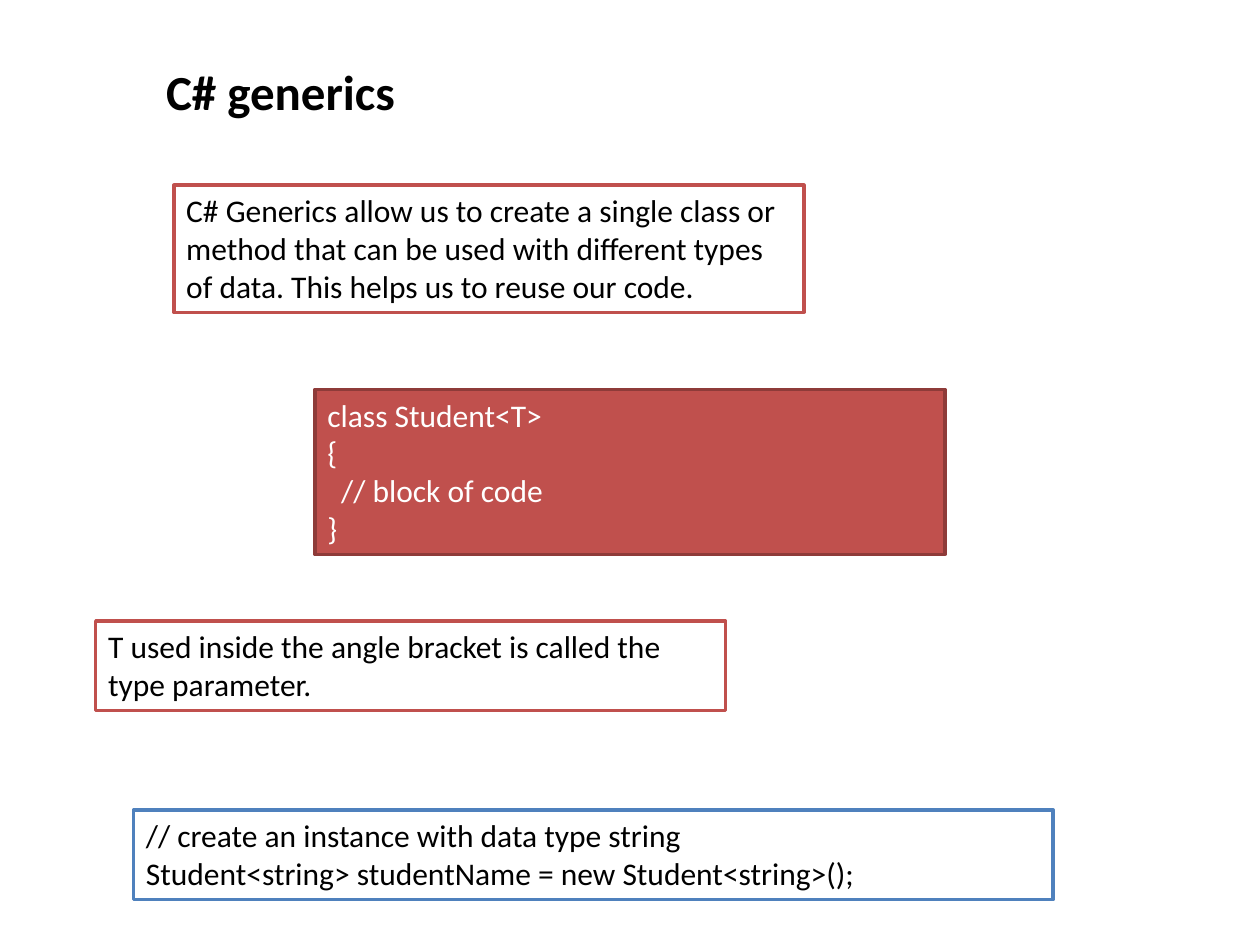
from pptx import Presentation
from pptx.dml.color import RGBColor
from pptx.enum.shapes import MSO_SHAPE
from pptx.enum.text import MSO_ANCHOR, MSO_AUTO_SIZE, PP_ALIGN
from pptx.util import Inches, Pt

COLORS = {
    "black": "000000",
    "white": "FFFFFF",
    "red": "C0504D",
    "dark_red": "8E3B39",
    "blue": "4F81BD",
}
FONT = "Calibri"
CODE_INDENT = Inches(0.11)


def rgb(name):
    return RGBColor.from_string(COLORS[name])


def style_font(paragraph, size, color, bold=False):
    font = paragraph.font
    font.name = FONT
    font.size = Pt(size)
    font.bold = bold
    font.color.rgb = rgb(color)


def add_title(slide, box, text):
    title = slide.shapes.add_textbox(*map(Inches, box))
    frame = title.text_frame
    frame.word_wrap = False
    frame.auto_size = MSO_AUTO_SIZE.SHAPE_TO_FIT_TEXT
    frame.text = text
    style_font(frame.paragraphs[0], 28, "black", bold=True)


def add_panel(slide, box, lines, border, fill="white", ink="black", indented=()):
    panel = slide.shapes.add_shape(MSO_SHAPE.RECTANGLE, *map(Inches, box))
    panel.shadow.inherit = False
    panel.fill.solid()
    panel.fill.fore_color.rgb = rgb(fill)
    panel.line.color.rgb = rgb(border)
    panel.line.width = Pt(2)
    frame = panel.text_frame
    frame.word_wrap = True
    frame.auto_size = MSO_AUTO_SIZE.SHAPE_TO_FIT_TEXT
    frame.vertical_anchor = MSO_ANCHOR.TOP
    frame.text = "\n".join(lines)
    for number, paragraph in enumerate(frame.paragraphs):
        paragraph.alignment = PP_ALIGN.LEFT
        style_font(paragraph, 18, ink)
        if number in indented:
            paragraph._p.get_or_add_pPr().set("marL", str(CODE_INDENT))


def add_generics_slide(presentation):
    slide = presentation.slides.add_slide(presentation.slide_layouts[6])
    add_title(slide, (1.22, 0.44, 2.04, 0.57), "C# generics")
    add_panel(
        slide, (1.38, 1.47, 5, 1.01),
        ["C# Generics allow us to create a single class or method that can be "
         "used with different types of data. This helps us to reuse our code."],
        "red",
    )
    add_panel(
        slide, (2.5, 3.09, 5, 1.31),
        ["class Student<T>", "{", "// block of code", "}"],
        "dark_red", fill="red", ink="white", indented=(2,),
    )
    add_panel(
        slide, (0.76, 4.93, 5, 0.71),
        ["T used inside the angle bracket is called the type parameter."],
        "red",
    )
    add_panel(
        slide, (1.06, 6.43, 7.3, 0.71),
        ["// create an instance with data type string",
         "Student<string> studentName = new Student<string>();"],
        "blue",
    )


def main():
    presentation = Presentation()
    presentation.slide_width = Inches(10)
    presentation.slide_height = Inches(7.5)
    add_generics_slide(presentation)
    presentation.save("out.pptx")


if __name__ == "__main__":
    main()
